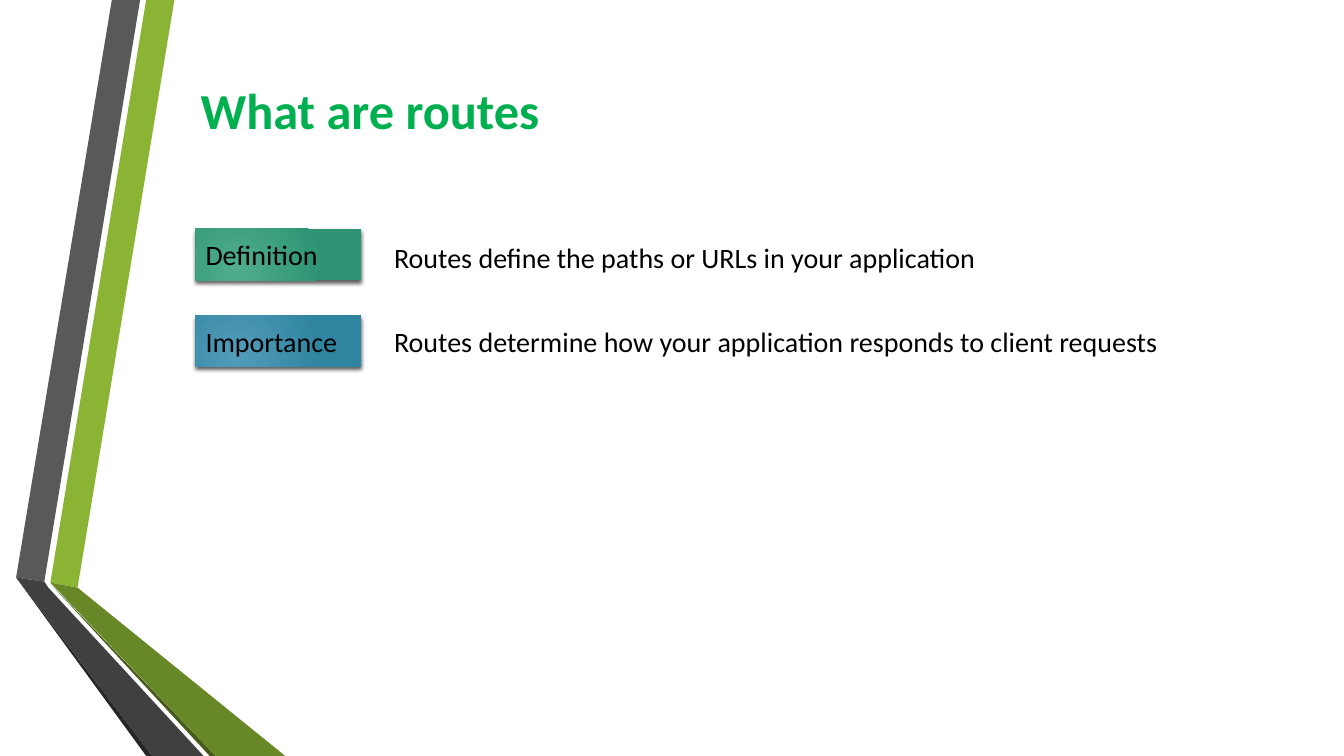
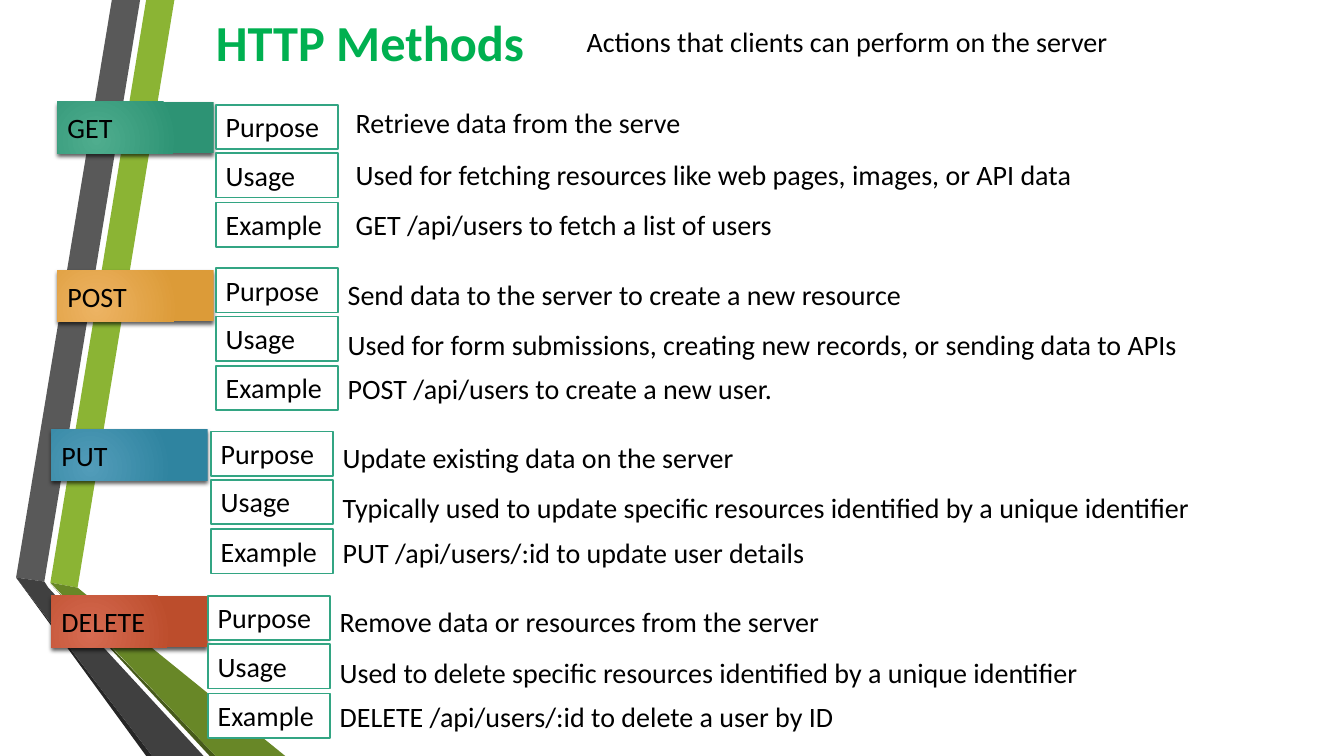
from dataclasses import dataclass

from lxml import etree
from pptx import Presentation
from pptx import util as u
from pptx.dml.color import RGBColor
from pptx.enum import shapes, text
from pptx.oxml import ns

PX = 9144
WIDTH, HEIGHT = 1333, 750
TAG_HEIGHT, ROW_HEIGHT, LABEL_WIDTH = 51, 44, 121
LABELS = ("Purpose", "Usage", "Example")
LABEL_STEPS = (0, 48, 97)


@dataclass(frozen=True)
class Gradient:
    inner: str
    outer: str


@dataclass(frozen=True)
class Theme:
    font: str = "Calibri"
    title_size: int = 36
    body_size: int = 20
    title: str = "00B050"
    ink: str = "000000"
    paper: str = "FFFFFF"
    outline: str = "33A583"
    green: Gradient = Gradient("4FAD8E", "2D9374")
    amber: Gradient = Gradient("EDB363", "DC9B38")
    blue: Gradient = Gradient("529CB9", "2F84A0")
    red: Gradient = Gradient("D66A51", "BC4D2C")


THEME = Theme()


@dataclass(frozen=True)
class Frame:
    left: int
    top: int
    width: int
    height: int

    def emu(self) -> tuple[int, ...]:
        return tuple(side * PX for side in (self.left, self.top, self.width, self.height))


@dataclass(frozen=True)
class Ribbon:
    color: str
    points: tuple[tuple[int, int], ...]


@dataclass(frozen=True)
class Tag:
    words: str
    frame: Frame
    gradient: Gradient


@dataclass(frozen=True)
class Detail:
    words: str
    width: int


@dataclass(frozen=True)
class Method:
    tag: Tag
    left: int
    top: int
    details: tuple[Detail, Detail, Detail]
    detail_shift: int = LABEL_WIDTH
    detail_steps: tuple[int, int, int] = (4, 54, 98)


RIBBONS = (
    Ribbon("8BB434", ((50, 578), (77, 583), (173, 0), (145, 0))),
    Ribbon("595959", ((139, 0), (111, 0), (16, 573), (44, 577))),
    Ribbon("262626", ((16, 573), (145, 750), (151, 750))),
    Ribbon("465A1A", ((50, 579), (208, 750), (214, 750))),
    Ribbon("688727", ((50, 578), (214, 750), (283, 750), (77, 583))),
    Ribbon("404040", ((202, 750), (48, 583), (44, 577), (16, 573), (151, 750))),
)

ROUTE_TAGS = (
    Tag("Definition", Frame(194, 227, 164, TAG_HEIGHT), THEME.green),
    Tag("Importance", Frame(194, 313, 164, TAG_HEIGHT), THEME.blue),
)
ROUTE_TEXTS = (
    ("Routes define the paths or URLs in your application", Frame(381, 230, 614, TAG_HEIGHT)),
    ("Routes determine how your application responds to client requests", Frame(381, 313, 796, TAG_HEIGHT)),
)

METHODS = (
    Method(
        Tag("GET", Frame(57, 101, 155, TAG_HEIGHT), THEME.green), 214, 104,
        (
            Detail("Retrieve data from the serve", 349),
            Detail("Used for fetching resources like web pages, images, or API data", 749),
            Detail("GET /api/users to fetch a list of users", 438),
        ),
        129, (-4, 47, 97),
    ),
    Method(
        Tag("POST", Frame(57, 268, 155, TAG_HEIGHT), THEME.amber), 214, 266,
        (
            Detail("Send data to the server to create a new resource", 577),
            Detail("Used for form submissions, creating new records, or sending data to APIs", 861),
            Detail("POST /api/users to create a new user.", 448),
        ),
    ),
    Method(
        Tag("PUT", Frame(51, 426, 155, TAG_HEIGHT), THEME.blue), 209, 428,
        (
            Detail("Update existing data on the server", 417),
            Detail("Typically used to update specific resources identified by a unique identifier", 875),
            Detail("PUT /api/users/:id to update user details", 480),
        ),
    ),
    Method(
        Tag("DELETE", Frame(51, 591, 155, TAG_HEIGHT), THEME.red), 206, 591,
        (
            Detail("Remove data or resources from the server", 504),
            Detail("Used to delete specific resources identified by a unique identifier", 764),
            Detail("DELETE /api/users/:id to delete a user by ID", 518),
        ),
    ),
)


def rgb(color: str) -> RGBColor:
    return RGBColor.from_string(color)


def write(box, words: str, size: int = THEME.body_size, color: str = THEME.ink,
          bold: bool = False, wrap: bool = True, align=text.PP_ALIGN.LEFT,
          anchor=text.MSO_ANCHOR.TOP) -> None:
    frame = box.text_frame
    frame.word_wrap = wrap
    frame.vertical_anchor = anchor
    para = frame.paragraphs[0]
    para.text = words
    para.alignment = align
    para.font.name = THEME.font
    para.font.size = u.Pt(size)
    para.font.bold = bold
    para.font.color.rgb = rgb(color)


def add_text(page, words: str, frame: Frame, anchor=text.MSO_ANCHOR.TOP) -> None:
    write(page.shapes.add_textbox(*frame.emu()), words, wrap=False, anchor=anchor)


def add_rectangle(page, frame: Frame):
    box = page.shapes.add_shape(shapes.MSO_SHAPE.RECTANGLE, *frame.emu())
    box.shadow.inherit = False
    return box


def add_label(page, words: str, frame: Frame) -> None:
    box = add_rectangle(page, frame)
    box.fill.solid()
    box.fill.fore_color.rgb = rgb(THEME.paper)
    box.line.color.rgb = rgb(THEME.outline)
    box.line.width = u.Pt(1.25)
    write(box, words)


def make_radial(box, gradient: Gradient) -> None:
    box.fill.gradient()
    for stop, color in zip(box.fill.gradient_stops, (gradient.inner, gradient.outer)):
        stop.color.rgb = rgb(color)
    fill = box._element.spPr.find(ns.qn("a:gradFill"))
    fill.remove(fill.find(ns.qn("a:lin")))
    circle = etree.SubElement(fill, ns.qn("a:path"), {"path": "circle"})
    etree.SubElement(circle, ns.qn("a:fillToRect"),
                     {"l": "50000", "t": "100000", "r": "100000", "b": "50000"})


def cast_shadow(box) -> None:
    effects = box._element.spPr.find(ns.qn("a:effectLst"))
    shadow = etree.SubElement(effects, ns.qn("a:outerShdw"), {
        "blurRad": str(u.Pt(3)), "dist": str(u.Pt(2)), "dir": "5400000",
        "algn": "ctr", "rotWithShape": "0"})
    color = etree.SubElement(shadow, ns.qn("a:srgbClr"), {"val": THEME.ink})
    etree.SubElement(color, ns.qn("a:alpha"), {"val": "64000"})


def add_tag(page, tag: Tag) -> None:
    box = add_rectangle(page, tag.frame)
    make_radial(box, tag.gradient)
    box.line.fill.background()
    cast_shadow(box)
    write(box, tag.words, anchor=text.MSO_ANCHOR.MIDDLE)


def add_ribbon(page, ribbon: Ribbon) -> None:
    builder = page.shapes.build_freeform(*ribbon.points[0], scale=PX)
    builder.add_line_segments(ribbon.points[1:], close=True)
    outline = builder.convert_to_shape()
    outline.shadow.inherit = False
    outline.fill.solid()
    outline.fill.fore_color.rgb = rgb(ribbon.color)
    outline.line.fill.background()


def add_page(deck, title: str, frame: Frame):
    page = deck.slides.add_slide(deck.slide_layouts[6])
    for ribbon in RIBBONS:
        add_ribbon(page, ribbon)
    write(page.shapes.add_textbox(*frame.emu()), title, THEME.title_size, THEME.title,
          bold=True, align=text.PP_ALIGN.CENTER, anchor=text.MSO_ANCHOR.MIDDLE)
    return page


def add_method(page, method: Method) -> None:
    add_tag(page, method.tag)
    for label, step in zip(LABELS, LABEL_STEPS):
        add_label(page, label, Frame(method.left, method.top + step, LABEL_WIDTH, ROW_HEIGHT))
    for detail, step in zip(method.details, method.detail_steps):
        add_text(page, detail.words, Frame(
            method.left + method.detail_shift, method.top + step, detail.width, ROW_HEIGHT))


def build_routes(deck) -> None:
    page = add_page(deck, "What are routes", Frame(177, 77, 380, 63))
    for tag in ROUTE_TAGS:
        add_tag(page, tag)
    for words, frame in ROUTE_TEXTS:
        add_text(page, words, frame, text.MSO_ANCHOR.MIDDLE)


def build_methods(deck) -> None:
    page = add_page(deck, "HTTP Methods", Frame(188, 10, 358, 63))
    add_text(page, "Actions that clients can perform on the server", Frame(572, 19, 546, ROW_HEIGHT))
    for method in METHODS:
        add_method(page, method)


def main() -> None:
    deck = Presentation()
    deck.slide_width = WIDTH * PX
    deck.slide_height = HEIGHT * PX
    build_routes(deck)
    build_methods(deck)
    deck.save("out.pptx")


if __name__ == "__main__":
    main()
